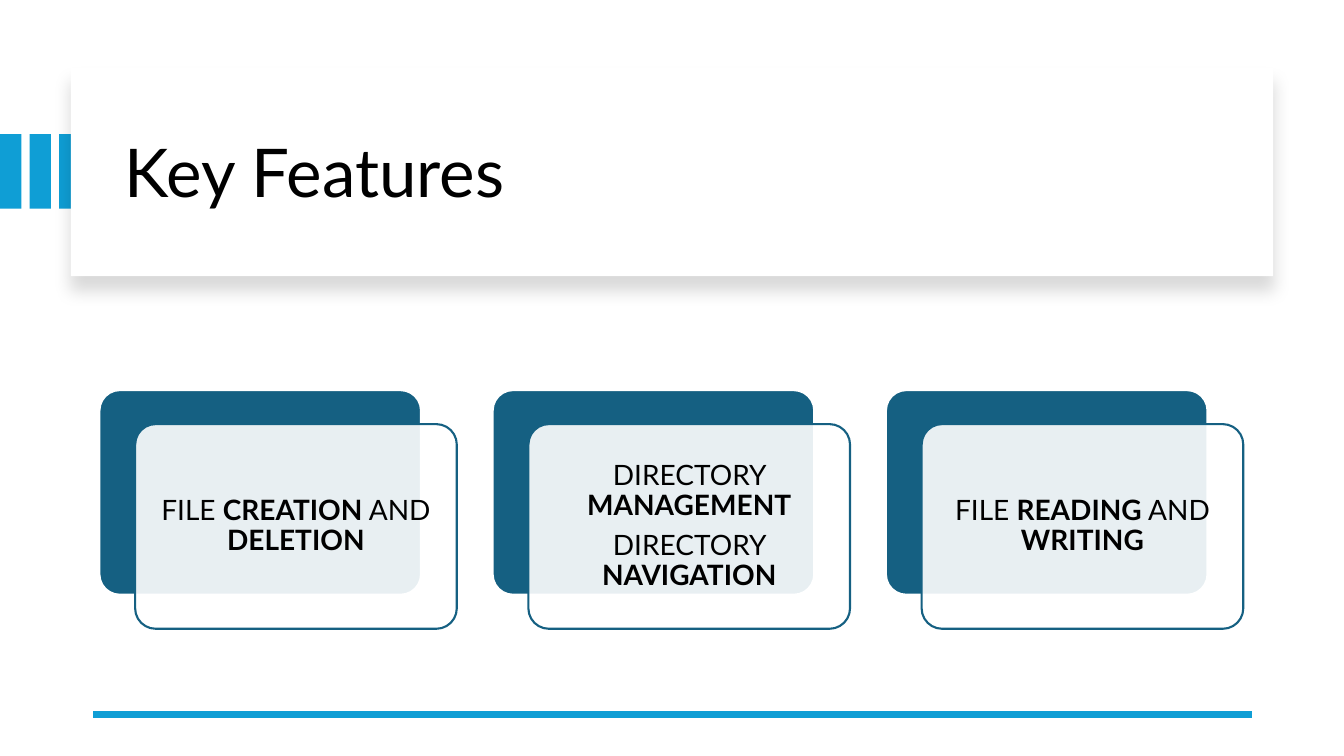
from dataclasses import dataclass

import lxml.etree
import pptx
import pptx.dml.color
import pptx.enum.shapes
import pptx.enum.text
import pptx.oxml
import pptx.oxml.ns
import pptx.util

COLORS = {"accent": "0F9ED5", "card": "156082", "paper": "FFFFFF", "ink": "000000"}
FONT = "Lato"
SHAPE = pptx.enum.shapes.MSO_SHAPE
ALIGN = pptx.enum.text.PP_ALIGN
qn = pptx.oxml.ns.qn

prs = pptx.Presentation()
prs.slide_width = pptx.util.Inches(13.333)
prs.slide_height = pptx.util.Inches(7.5)
s = prs.slides.add_slide(prs.slide_layouts[6])

# Grid of 100 columns by 100 rows
COL = prs.slide_width / 100
ROW = prs.slide_height / 100


@dataclass
class Box:
    x: float
    y: float
    w: float
    h: float

    def emu(self) -> tuple[int, int, int, int]:
        return (round(self.x * COL), round(self.y * ROW),
                round(self.w * COL), round(self.h * ROW))

    def moved(self, dx: float, dy: float) -> "Box":
        return Box(self.x + dx, self.y + dy, self.w, self.h)

    def inset(self, dx: float, dy: float) -> "Box":
        return Box(self.x + dx, self.y + dy, self.w - 2 * dx, self.h - 2 * dy)


@dataclass
class Run:
    text: str
    bold: bool = False


@dataclass
class Feature:
    paragraphs: list[list[Run]]


def rgb(name: str) -> pptx.dml.color.RGBColor:
    return pptx.dml.color.RGBColor.from_string(COLORS[name])


def add_block(box: Box, fill: str, line: str | None = None, rounded: bool = False):
    kind = SHAPE.ROUNDED_RECTANGLE if rounded else SHAPE.RECTANGLE
    sp = s.shapes.add_shape(kind, *box.emu())
    sp.shadow.inherit = False
    if rounded:
        sp.adjustments[0] = 0.1
    sp.fill.solid()
    sp.fill.fore_color.rgb = rgb(fill)
    if line:
        sp.line.color.rgb = rgb(line)
        sp.line.width = pptx.util.Pt(1.5)
    else:
        sp.line.fill.background()
    return sp


def set_alpha(sp, percent: int) -> None:
    clr = sp._element.spPr.find(qn("a:solidFill")).find(qn("a:srgbClr"))
    lxml.etree.SubElement(clr, qn("a:alpha"), val=str(percent * 1000))


def add_shadow(sp, percent: int, blur: float, dist: float) -> None:
    effects = sp._element.spPr.find(qn("a:effectLst"))
    shadow = lxml.etree.SubElement(
        effects, qn("a:outerShdw"), blurRad=str(pptx.util.Pt(blur)),
        dist=str(pptx.util.Pt(dist)), dir="5400000", algn="t", rotWithShape="0")
    clr = lxml.etree.SubElement(shadow, qn("a:srgbClr"), val=COLORS["ink"])
    lxml.etree.SubElement(clr, qn("a:alpha"), val=str(percent * 1000))


def add_text(box: Box, paragraphs: list[list[Run]], size: int, align: ALIGN,
             margin: float | None = None, after: float = 0) -> None:
    tf = s.shapes.add_textbox(*box.emu()).text_frame
    tf.word_wrap = True
    tf.vertical_anchor = pptx.enum.text.MSO_ANCHOR.MIDDLE
    if margin is not None:
        tf.margin_left = tf.margin_right = pptx.util.Inches(margin)
        tf.margin_top = tf.margin_bottom = pptx.util.Inches(margin)
    for i, runs in enumerate(paragraphs):
        p = tf.add_paragraph() if i else tf.paragraphs[0]
        p.alignment = align
        p.line_spacing = 0.9
        p.space_after = pptx.util.Pt(after)
        for run in runs:
            r = p.add_run()
            r.text = run.text
            r.font.name = FONT
            r.font.size = pptx.util.Pt(size)
            r.font.bold = run.bold
            r.font.color.rgb = rgb("ink")


def add_feature(box: Box, feature: Feature) -> None:
    add_block(box, "card", "paper", rounded=True)
    front = box.moved(2.66, 4.5)
    set_alpha(add_block(front, "paper", "card", rounded=True), 90)
    add_text(front.inset(0.44, 0.8), feature.paragraphs, 20, ALIGN.CENTER, 0.08, 7)


# Stripes at the left edge
for i in range(3):
    add_block(Box(2.2 * i, 17.75, 1.6, 9.85), "accent")

# Title card
add_shadow(add_block(Box(5.27, 8.93, 89.45, 27.6), "paper"), 15, 11, 10)
add_text(Box(8.55, 11.87, 83.48, 22.67), [[Run("Key Features")]], 48, ALIGN.LEFT)

# Bottom rule
x1, y, width, _ = Box(6.9, 94.53, 86.25, 0).emu()
rule = s.shapes.add_connector(pptx.enum.shapes.MSO_CONNECTOR.STRAIGHT,
                              x1 + width, y, x1, y)
rule.line.color.rgb = rgb("accent")
rule.line.width = pptx.util.Pt(4.5)
lxml.etree.SubElement(rule._element.spPr, qn("a:effectLst"))

# Feature cards
FEATURES = [
    Feature([[Run("FILE "), Run("CREATION", True), Run(" AND "), Run("DELETION", True)]]),
    Feature([[Run("DIRECTORY "), Run("MANAGEMENT", True)],
             [Run("DIRECTORY "), Run("NAVIGATION", True)]]),
    Feature([[Run("FILE "), Run("READING", True), Run(" AND "), Run("WRITING", True)]]),
]
for i, feature in enumerate(FEATURES):
    add_feature(Box(7.4 + 29.26 * i, 51.6, 23.93, 27.07), feature)

prs.save("out.pptx")
